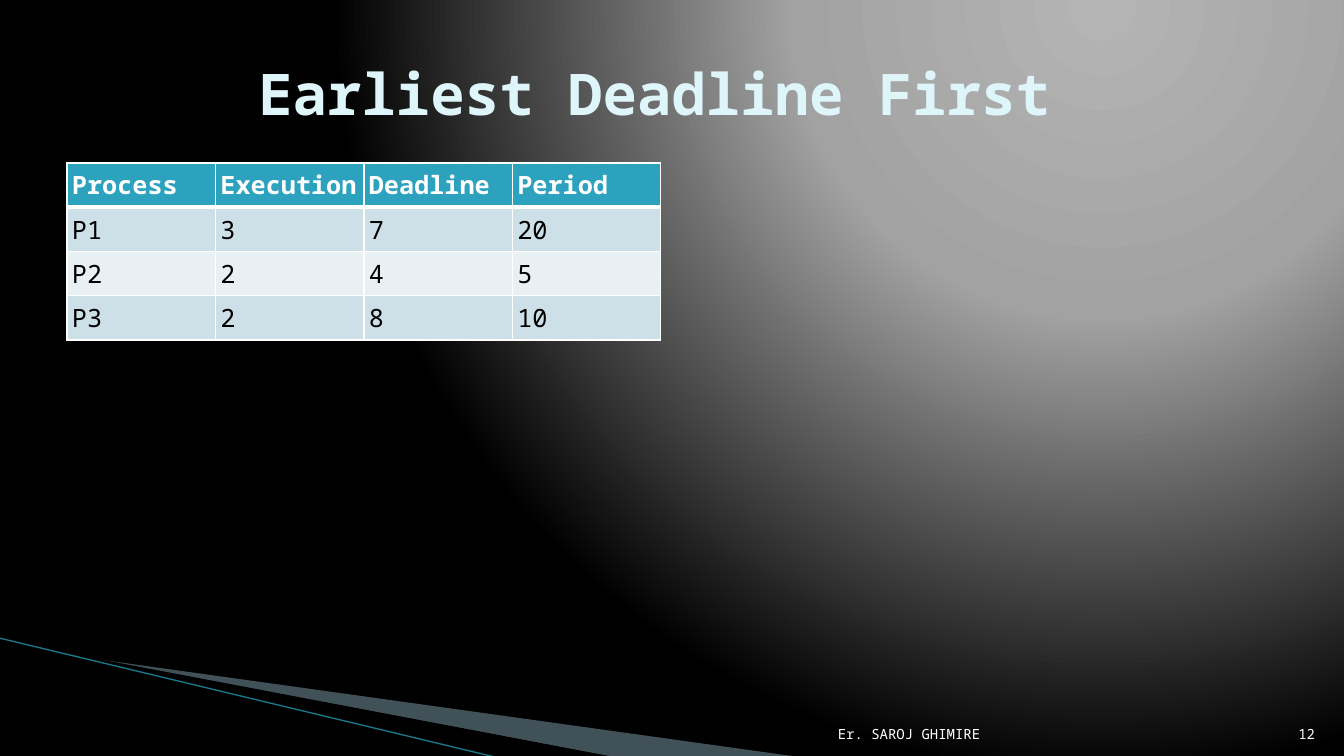
import pptx
import pptx.dml.color
import pptx.enum.shapes
import pptx.enum.text
import pptx.oxml
import pptx.oxml.ns
import pptx.util

RGB = pptx.dml.color.RGBColor
ALIGN = pptx.enum.text.PP_ALIGN
ANCHOR = pptx.enum.text.MSO_ANCHOR

WHITE = RGB(0xFF, 0xFF, 0xFF)
BLACK = RGB(0x00, 0x00, 0x00)
TITLE_BLUE = RGB(0xDE, 0xF5, 0xFA)
HEADER_TEAL = RGB(0x2D, 0xA2, 0xBF)
ODD_ROW = RGB(0xCD, 0xE0, 0xE8)
EVEN_ROW = RGB(0xE8, 0xF0, 0xF4)
WEDGE_BLUE = RGB(0xA0, 0xCB, 0xDC)
LINE_TEAL = RGB(0x1A, 0x78, 0x8A)
GLOW = [(0, RGB(0xB4, 0xB4, 0xB4)), (40, RGB(0xA2, 0xA2, 0xA2)), (100, BLACK)]

EMU_PER_PIXEL = 914400 / 100.8
NAMESPACE = pptx.oxml.ns.nsdecls("a")


def px(length):
    return pptx.util.Emu(round(length * EMU_PER_PIXEL))


class SlideBuilder:
    font_name = "Noto Sans Mono"

    def __init__(self, slide):
        self.slide = slide
        self.shapes = slide.shapes

    def radial_background(self, stops, left, top, right, bottom):
        fill = self.slide.background.fill
        fill.gradient()
        stop_xml = "".join(
            f'<a:gs pos="{pos * 1000}"><a:srgbClr val="{color}"/></a:gs>'
            for pos, color in stops)
        gradient = pptx.oxml.parse_xml(
            f'<a:gradFill {NAMESPACE} rotWithShape="1"><a:gsLst>{stop_xml}</a:gsLst>'
            f'<a:path path="circle"><a:fillToRect l="{left * 1000}" t="{top * 1000}" '
            f'r="{right * 1000}" b="{bottom * 1000}"/></a:path></a:gradFill>')
        for old in self.slide.background._cSld.iter(pptx.oxml.ns.qn("a:gradFill")):
            old.getparent().replace(old, gradient)
            break

    def polygon(self, points, color, opacity=100):
        builder = self.shapes.build_freeform(*points[0], scale=EMU_PER_PIXEL)
        builder.add_line_segments(points[1:], close=True)
        shape = builder.convert_to_shape()
        shape.shadow.inherit = False
        shape.fill.solid()
        shape.fill.fore_color.rgb = color
        shape.line.fill.background()
        if opacity < 100:
            solid = shape._element.spPr.find(pptx.oxml.ns.qn("a:solidFill"))
            solid[0].append(pptx.oxml.parse_xml(
                f'<a:alpha {NAMESPACE} val="{opacity * 1000}"/>'))

    def line(self, start, end, color, width):
        connector = self.shapes.add_connector(
            pptx.enum.shapes.MSO_CONNECTOR.STRAIGHT,
            *map(px, start), *map(px, end))
        connector.line.color.rgb = color
        connector.line.width = pptx.util.Pt(width)
        connector._element.spPr.append(
            pptx.oxml.parse_xml(f"<a:effectLst {NAMESPACE}/>"))

    def style(self, paragraph, size, color, bold=False, align=ALIGN.LEFT):
        paragraph.alignment = align
        font = paragraph.font
        font.name = self.font_name
        font.size = pptx.util.Pt(size)
        font.bold = bold
        font.color.rgb = color

    def text(self, box, words, size, color, align, anchor, bold=False):
        frame = self.shapes.add_textbox(*map(px, box)).text_frame
        frame.word_wrap = True
        frame.vertical_anchor = anchor
        frame.text = words
        self.style(frame.paragraphs[0], size, color, bold, align)

    def borders(self, cell, widths):
        properties = cell._tc.get_or_add_tcPr()
        for index, (side, width) in enumerate(widths.items()):
            properties.insert(index, pptx.oxml.parse_xml(
                f'<a:ln{side} {NAMESPACE} w="{pptx.util.Pt(width)}"><a:solidFill>'
                f'<a:srgbClr val="{WHITE}"/></a:solidFill></a:ln{side}>'))

    def table(self, box, rows, size, inset):
        table = self.shapes.add_table(
            len(rows), len(rows[0]), *map(px, box)).table
        for row, values in enumerate(rows):
            header = row == 0
            fill = HEADER_TEAL if header else ODD_ROW if row % 2 else EVEN_ROW
            widths = {"L": 1, "R": 1, "T": 3 if row == 1 else 1,
                      "B": 3 if header else 1}
            for column, value in enumerate(values):
                cell = table.cell(row, column)
                cell.text = value
                cell.margin_left = cell.margin_right = px(inset)
                cell.margin_top = cell.margin_bottom = px(inset)
                cell.fill.solid()
                cell.fill.fore_color.rgb = fill
                self.borders(cell, widths)
                self.style(cell.text_frame.paragraphs[0], size,
                           WHITE if header else BLACK, bold=header)


presentation = pptx.Presentation()
presentation.slide_width = px(1344)
presentation.slide_height = px(756)
deck = SlideBuilder(presentation.slides.add_slide(presentation.slide_layouts[6]))

# Background glow and corner sweep
deck.radial_background(GLOW, left=65, top=0, right=0, bottom=98)
deck.polygon([(74, 656), (799, 757), (613, 757), (74, 655)], WEDGE_BLUE, opacity=40)
deck.polygon([(72, 654), (614, 757), (500, 758), (73, 655)], BLACK)
deck.line((-1, 638), (499, 758), LINE_TEAL, 0.95)

# Process table
processes = [
    ["Process", "Execution", "Deadline", "Period"],
    ["P1", "3", "7", "20"],
    ["P2", "2", "4", "5"],
    ["P3", "2", "8", "10"],
]
deck.table((67, 163, 594, 164), processes, size=18, inset=5)

# Footer: author and slide number
for left, width, words in [(644, 346, "Er. SAROJ GHIMIRE"), (1271, 54, "12")]:
    deck.text((left, 707, width, 40), words, 10, WHITE, ALIGN.RIGHT, ANCHOR.BOTTOM)

# Title
deck.text((67, 30, 1210, 126), "Earliest Deadline First ", 41, TITLE_BLUE,
          ALIGN.CENTER, ANCHOR.MIDDLE, bold=True)

presentation.save("out.pptx")
